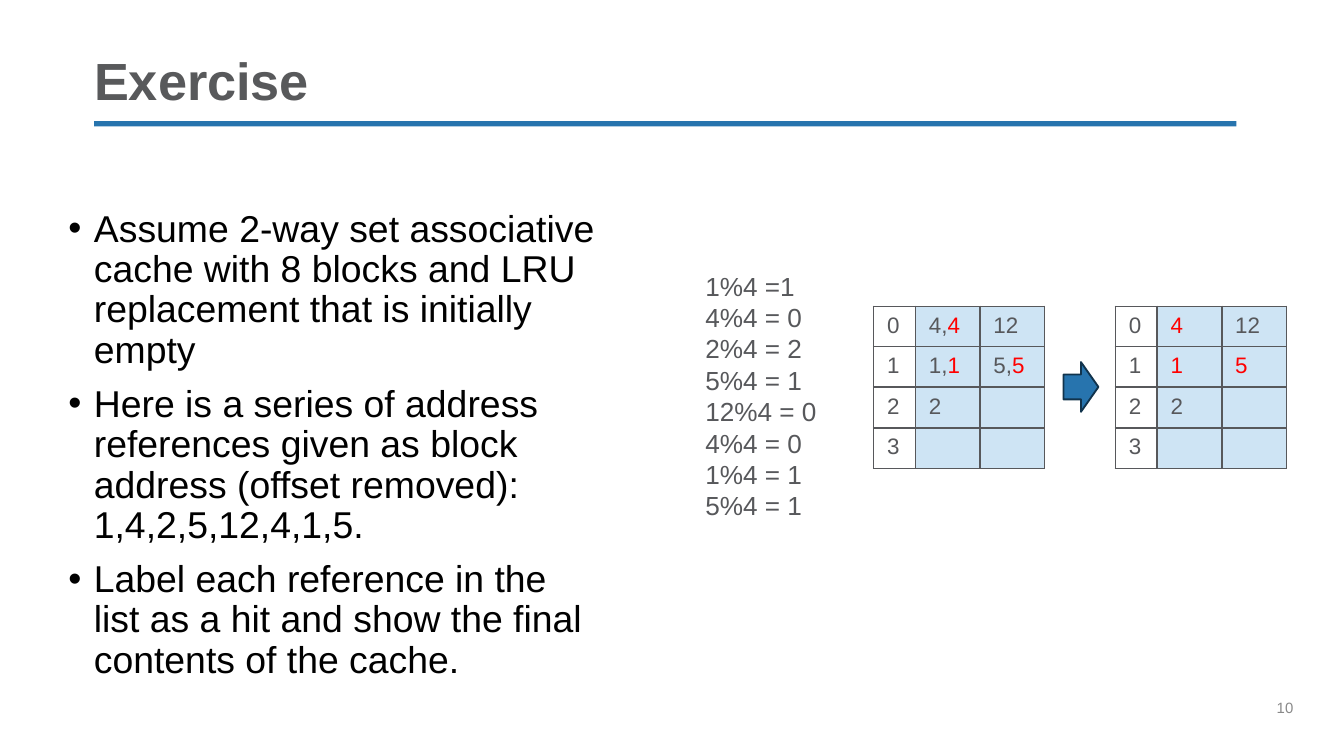
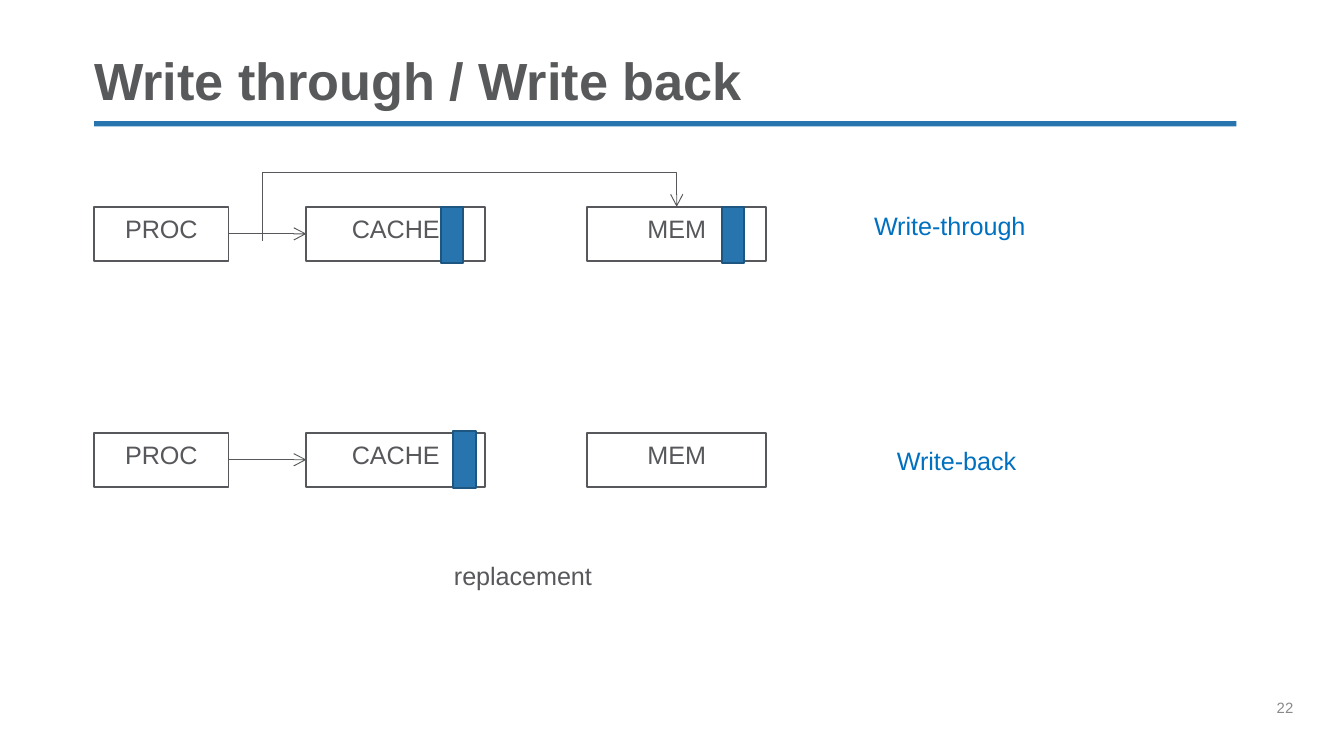
from collections import namedtuple
from dataclasses import dataclass

from lxml.etree import SubElement
from pptx import Presentation
from pptx.dml.color import RGBColor
from pptx.enum.shapes import MSO_CONNECTOR, MSO_SHAPE
from pptx.enum.text import MSO_ANCHOR, MSO_AUTO_SIZE, PP_ALIGN
from pptx.oxml.ns import qn
from pptx.util import Cm, Pt


@dataclass(frozen=True)
class Theme:
    font: str = "Arial"
    accent: str = "2774AE"
    block_line: str = "1D5681"
    arrow_line: str = "11334C"
    title: str = "58595B"
    text: str = "57585B"
    body: str = "000000"
    label: str = "0070C0"
    number: str = "898989"
    hit: str = "FF0000"
    cell: str = "CEE4F4"
    white: str = "FFFFFF"
    title_size: float = 28
    body_size: float = 20
    sums_size: float = 14
    diagram_size: float = 13.5
    table_size: float = 12
    number_size: float = 8


THEME = Theme()
Box = namedtuple("Box", "left top width height")
PROC, CACHE, MEM = ("PROC", 0, 2.54), ("CACHE", 4.01, 3.38), ("MEM", 9.32, 3.38)


def color(value):
    return RGBColor.from_string(value)


def lengths(box):
    return [Cm(value) for value in box]


def write_text(paragraph, text, size=THEME.diagram_size, fill=THEME.text, bold=False,
               align=PP_ALIGN.LEFT, spacing=1.0, before=0, indent=0, hanging=0, bullet=None):
    properties = paragraph._p.get_or_add_pPr()
    properties.set("marL", str(Cm(indent)))
    properties.set("indent", str(Cm(-hanging)))
    if bullet:
        SubElement(properties, qn("a:buFont")).set("typeface", THEME.font)
        SubElement(properties, qn("a:buChar")).set("char", bullet)
    paragraph.alignment = align
    paragraph.line_spacing = spacing
    paragraph.space_before = Pt(before)
    plain, _, hit = text.partition("*")
    for part, part_color in ((plain, fill), (hit, THEME.hit)):
        if part:
            run = paragraph.add_run()
            run.text = part
            run.font.name = THEME.font
            run.font.size = Pt(size)
            run.font.bold = bold
            run.font.color.rgb = color(part_color)
    if not text:
        SubElement(paragraph._p, qn("a:endParaRPr")).set("sz", str(int(size * 100)))


def write_lines(frame, lines, before=0, **style):
    for index, line in enumerate(lines):
        paragraph = frame.add_paragraph() if index else frame.paragraphs[0]
        write_text(paragraph, line, before=before if index else 0, **style)


def prepare_frame(frame, anchor=MSO_ANCHOR.TOP, inset=None):
    frame.word_wrap = True
    frame.auto_size = MSO_AUTO_SIZE.NONE
    frame.vertical_anchor = anchor
    if inset is not None:
        frame.margin_left = frame.margin_top = Cm(inset)
        frame.margin_right = frame.margin_bottom = Cm(inset)
    return frame


def add_text(slide, box, lines, inset=None, **style):
    shape = slide.shapes.add_textbox(*lengths(box))
    write_lines(prepare_frame(shape.text_frame, inset=inset), lines, **style)


def fill_placeholder(shape, box, lines, anchor=MSO_ANCHOR.TOP, inset=None, **style):
    shape.left, shape.top, shape.width, shape.height = lengths(box)
    write_lines(prepare_frame(shape.text_frame, anchor, inset), lines, **style)


def add_box(slide, box, fill, line=None, text=None, preset=MSO_SHAPE.RECTANGLE):
    shape = slide.shapes.add_shape(preset, *lengths(box))
    shape.shadow.inherit = False
    shape.fill.solid()
    shape.fill.fore_color.rgb = color(fill)
    if line:
        shape.line.color.rgb = color(line)
        shape.line.width = Pt(1)
    else:
        shape.line.fill.background()
    if text:
        write_lines(prepare_frame(shape.text_frame), [text], align=PP_ALIGN.CENTER)
    return shape


def add_line(slide, start=(0, 0), end=(0, 0), kind=MSO_CONNECTOR.STRAIGHT, arrow=True):
    connector = slide.shapes.add_connector(kind, *lengths(start + end))
    connector.line.color.rgb = color(THEME.text)
    connector.line.width = Pt(0.5)
    if arrow:
        SubElement(connector.line._get_or_add_ln(), qn("a:tailEnd")).set("type", "arrow")
    SubElement(connector._element.spPr, qn("a:effectLst"))
    return connector


def add_frame(presentation, layout_index, title, number):
    slide = presentation.slides.add_slide(presentation.slide_layouts[layout_index])
    add_box(slide, Box(1.78, 2.29, 21.59, 0.1), THEME.accent)
    add_text(slide, Box(24.13, 13.21, 1.27, 1.02), [number], inset=0,
             size=THEME.number_size, fill=THEME.number)
    fill_placeholder(slide.shapes.title, Box(1.78, 1.02, 21.59, 1.09), [title],
                     anchor=MSO_ANCHOR.BOTTOM, inset=0, size=THEME.title_size,
                     fill=THEME.title, bold=True, spacing=0.9)
    return slide


def style_cell(cell, text, fill):
    properties = cell._tc.get_or_add_tcPr()
    for side in ("a:lnL", "a:lnR", "a:lnT", "a:lnB"):
        border = SubElement(properties, qn(side), w=str(Pt(1)))
        solid = SubElement(border, qn("a:solidFill"))
        SubElement(solid, qn("a:srgbClr")).set("val", THEME.text)
    if fill:
        cell.fill.solid()
        cell.fill.fore_color.rgb = color(fill)
    else:
        cell.fill.background()
    write_text(cell.text_frame.paragraphs[0], text, size=THEME.table_size)


def add_cache_table(slide, box, ways):
    table = slide.shapes.add_table(len(ways), 3, *lengths(box)).table
    table.first_row = table.horz_banding = False
    index_width = 0.79
    way_width = (box.width - index_width) / 2
    for column, width in zip(table.columns, (index_width, way_width, way_width)):
        column.width = Cm(width)
    for index, row in enumerate(ways):
        table.rows[index].height = Cm(box.height / len(ways))
        style_cell(table.cell(index, 0), str(index), None)
        for way, text in enumerate(row, 1):
            style_cell(table.cell(index, way), text, THEME.cell)


def add_cache_states(slide, box, before, after):
    table_width = 3.23
    arrow_width, arrow_height = 0.66, 0.94
    add_cache_table(slide, box._replace(width=table_width), before)
    add_cache_table(slide, box._replace(left=box.left + box.width - table_width,
                                        width=table_width), after)
    add_box(slide, Box(box.left + (box.width - arrow_width) / 2 + 0.02,
                       box.top + (box.height - arrow_height) / 2, arrow_width, arrow_height),
            THEME.accent, THEME.arrow_line, preset=MSO_SHAPE.RIGHT_ARROW)


def add_exercise_slide(presentation):
    slide = add_frame(presentation, 1, "Exercise", "10")
    fill_placeholder(slide.placeholders[1], Box(1.04, 3.84, 10.54, 8.69), [
        "Assume 2-way set associative cache with 8 blocks and LRU replacement that is "
        "initially empty",
        "Here is a series of address references given as block address (offset removed): "
        "1,4,2,5,12,4,1,5.",
        "Label each reference in the list as a hit and show the final contents of the cache.",
    ], size=THEME.body_size, fill=THEME.body, spacing=0.9, before=7.5,
        indent=0.48, hanging=0.48, bullet="•")
    add_text(slide, Box(13.08, 4.98, 2.9, 5.05), [
        "1%4 =1", "4%4 = 0", "2%4 = 2", "5%4 = 1",
        "12%4 = 0", "4%4 = 0", "1%4 = 1", "5%4 = 1",
    ], size=THEME.sums_size)
    add_cache_states(slide, Box(16.51, 5.79, 7.8, 3.05),
                     [("4,*4", "12"), ("1,*1", "5,*5"), ("2", ""), ("", "")],
                     [("*4", "12"), ("*1", "*5"), ("2", ""), ("", "")])


def add_memory_path(slide, box, blocks, bypass=False):
    proc, cache, _ = [
        add_box(slide, Box(box.left + offset, box.top, width, box.height),
                THEME.white, THEME.text, name)
        for name, offset, width in (PROC, CACHE, MEM)
    ]
    write = add_line(slide)
    write.begin_connect(proc, 3)
    write.end_connect(cache, 1)
    if bypass:
        stem, rise = box.left + 3.18, box.top - 0.64
        memory_middle = box.left + MEM[1] + MEM[2] / 2
        route = add_line(slide, (stem, rise), (memory_middle, box.top), MSO_CONNECTOR.ELBOW)
        route._element.spPr.find(qn("a:prstGeom")).set("prst", "bentConnector2")
        add_line(slide, (stem, box.top + 0.64), (stem, rise), arrow=False)
    for offset, shift in blocks:
        add_box(slide, Box(box.left + offset, box.top + shift, 0.43, 1.07),
                THEME.accent, THEME.block_line)


def add_write_slide(presentation):
    slide = add_frame(presentation, 5, "Write through / Write back", "22")
    path_width = MEM[1] + MEM[2]
    add_memory_path(slide, Box(1.78, 3.91, path_width, 1.02), [(6.55, 0), (11.86, 0)],
                    bypass=True)
    add_memory_path(slide, Box(1.78, 8.18, path_width, 1.02), [(6.78, -0.03)])
    for text, box in (("Write-through", Box(15.32, 3.91, 5.66, 0.94)),
                      ("Write-back", Box(15.75, 8.36, 4.85, 0.94))):
        add_text(slide, box, [text], fill=THEME.label, spacing=0.9, indent=0.95)
    add_text(slide, Box(8.33, 10.46, 5.79, 1.02), ["replacement"])


def main():
    presentation = Presentation()
    presentation.slide_width, presentation.slide_height = Cm(25.4), Cm(14.29)
    add_exercise_slide(presentation)
    add_write_slide(presentation)
    presentation.save("out.pptx")


if __name__ == "__main__":
    main()
